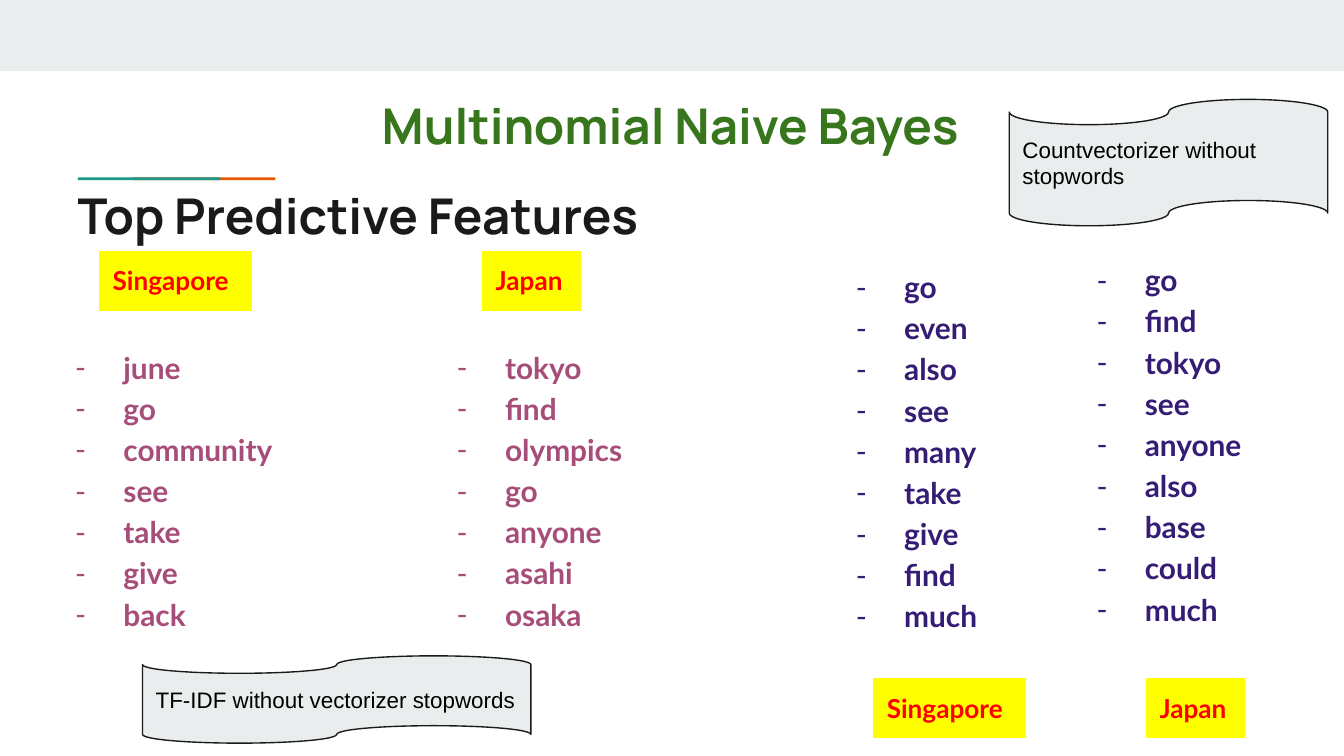
from pptx import Presentation
from pptx.dml.color import RGBColor
from pptx.enum import shapes, text
from pptx.oxml import parse_xml
from pptx.oxml.ns import nsdecls
from pptx.util import Inches, Pt

GREY = RGBColor(0xE9, 0xED, 0xEE)
INK = RGBColor(0x1A, 0x1A, 0x1A)
BLACK = RGBColor(0, 0, 0)
GREEN = RGBColor(0x38, 0x76, 0x1D)
TEAL = RGBColor(0x1A, 0x99, 0x88)
ORANGE = RGBColor(0xEB, 0x56, 0x00)
PINK = RGBColor(0xA6, 0x4D, 0x79)
PURPLE = RGBColor(0x35, 0x1C, 0x75)
YELLOW = RGBColor(0xFF, 0xFF, 0x00)
RED = RGBColor(0xFF, 0, 0)

# Content; boxes are left, top, width, height in inches
TITLE = ("Multinomial Naive Bayes", (2.74, 0.61, 4.67, 0.59), GREEN)
SUBTITLE = ("Top Predictive Features", (0.48, 1.28, 8.41, 0.59), INK)
WORD_LISTS = [
    ("june go community see take give back", (0.32, 2.46, 2.78, 3.07), PINK),
    ("tokyo find olympics go anyone asahi osaka", (3.16, 2.46, 1.92, 2.9), PINK),
    ("go even also see many take give find much", (6.13, 1.86, 1.86, 3.02), PURPLE),
    ("go find tokyo see anyone also base could much", (7.92, 1.81, 1.95, 3.7), PURPLE),
]
LABELS = [
    ("Singapore", (0.74, 1.87, 1.13, 0.44)),
    ("Japan", (3.59, 1.87, 0.73, 0.44)),
    ("Singapore", (6.5, 5.05, 1.13, 0.44)),
    ("Japan", (8.53, 5.05, 0.73, 0.44)),
]
BANNERS = [
    ("TF-IDF without vectorizer stopwords", (1.06, 4.88, 2.89, 0.65)),
    ("Countvectorizer without stopwords", (7.51, 0.74, 2.37, 0.94)),
]
BARS = [
    ((0, 0, 10, 0.53), GREY),
    ((0.99, 1.32, 1.06, 0.02), ORANGE),
    ((0.58, 1.32, 1.06, 0.02), TEAL),
]


def inches(box):
    return [Inches(v) for v in box]


def write(sp, lines, font, size, color, bold=True, anchor=text.MSO_ANCHOR.TOP):
    tf = sp.text_frame
    tf.text = "\n".join(lines)
    tf.word_wrap = True
    tf.auto_size = text.MSO_AUTO_SIZE.NONE
    tf.vertical_anchor = anchor
    tf.margin_left = tf.margin_right = Inches(0.1)
    tf.margin_top = tf.margin_bottom = Inches(0.1)
    for p in tf.paragraphs:
        p.alignment = text.PP_ALIGN.LEFT
        for r in p.runs:
            r.font.name, r.font.size, r.font.bold = font, Pt(size), bold
            r.font.color.rgb = color


def add_bullet(p, color):
    p.line_spacing = 1.15
    pPr = p._p.get_or_add_pPr()
    pPr.set("marL", str(Inches(0.5)))
    pPr.set("indent", str(Inches(-0.36)))
    for xml in (f'<a:buClr {nsdecls("a")}><a:srgbClr val="{color}"/></a:buClr>',
                f'<a:buFont {nsdecls("a")} typeface="Lato"/>',
                f'<a:buChar {nsdecls("a")} char="-"/>'):
        pPr.append(parse_xml(xml))


def add_block(s, kind, box, fill, line=None):
    sp = s.shapes.add_shape(kind, *inches(box))
    sp.shadow.inherit = False
    sp.fill.solid()
    sp.fill.fore_color.rgb = fill
    if line is None:
        sp.line.fill.background()
    else:
        sp.line.color.rgb = line
        sp.line.width = Pt(0.75)
    return sp


prs = Presentation()
prs.slide_width = Inches(10)
prs.slide_height = Inches(10) * 9 // 16  # widescreen
s = prs.slides.add_slide(prs.slide_layouts[5])

# Top band and accent line
for box, color in BARS:
    add_block(s, shapes.MSO_SHAPE.RECTANGLE, box, color)

# Headings
name, box, color = TITLE
title = s.shapes.title
title.left, title.top, title.width, title.height = inches(box)
write(title, [name], "Manrope", 26.4, color)
name, box, color = SUBTITLE
write(s.shapes.add_textbox(*inches(box)), [name], "Manrope", 26.4, color)

# Word lists
for words, box, color in WORD_LISTS:
    sp = s.shapes.add_textbox(*inches(box))
    write(sp, words.split(), "Lato", 16, color)
    for p in sp.text_frame.paragraphs:
        add_bullet(p, color)

# Country labels
for name, box in LABELS:
    sp = add_block(s, shapes.MSO_SHAPE.RECTANGLE, box, YELLOW, YELLOW)
    write(sp, [name], "Lato", 14, RED)

# Method banners
for name, box in BANNERS:
    sp = add_block(s, shapes.MSO_SHAPE.FLOWCHART_PUNCHED_TAPE, box, GREY, INK)
    write(sp, [name], "Arial", 12, BLACK, False, text.MSO_ANCHOR.MIDDLE)

prs.save("out.pptx")
